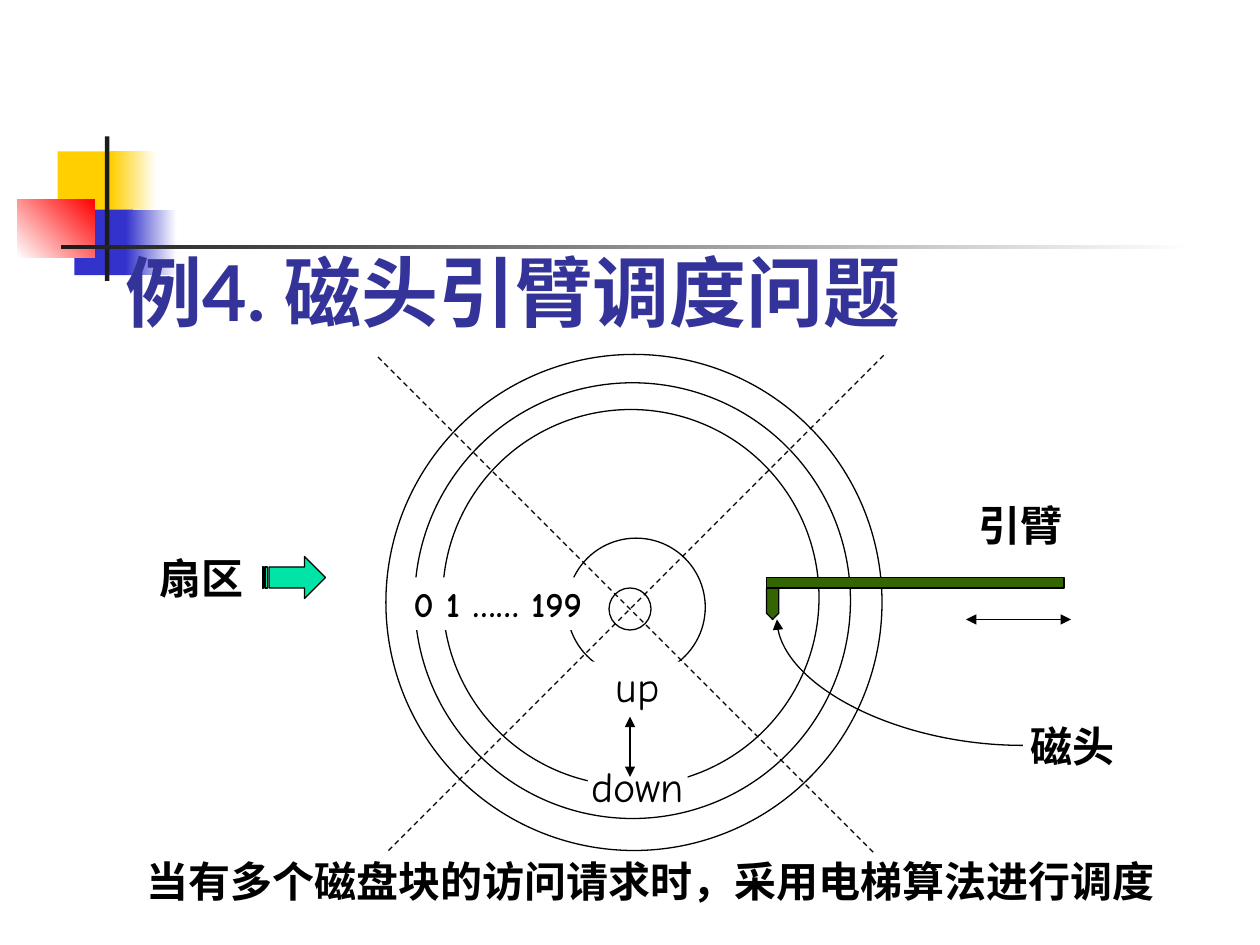
from lxml import etree
from pptx import Presentation
from pptx.dml.color import RGBColor
from pptx.enum.dml import MSO_LINE
from pptx.enum.shapes import MSO_CONNECTOR, MSO_SHAPE
from pptx.enum.text import MSO_ANCHOR, MSO_AUTO_SIZE, PP_ALIGN
from pptx.oxml.ns import qn
from pptx.util import Pt

RECTANGLE, OVAL = MSO_SHAPE.RECTANGLE, MSO_SHAPE.OVAL
HEAD_TIP, SECTOR_ARROW = MSO_SHAPE.FLOWCHART_OFFPAGE_CONNECTOR, MSO_SHAPE.STRIPED_RIGHT_ARROW
STRAIGHT, CURVE = MSO_CONNECTOR.STRAIGHT, MSO_CONNECTOR.CURVE
DASH = MSO_LINE.DASH
LEFT, CENTER = PP_ALIGN.LEFT, PP_ALIGN.CENTER
MIDDLE, BOTTOM = MSO_ANCHOR.MIDDLE, MSO_ANCHOR.BOTTOM
NO_AUTOFIT = MSO_AUTO_SIZE.NONE

BLACK, WHITE = "000000", "FFFFFF"
YELLOW, BLUE, RED, CHARCOAL = "FFCF01", "3333CC", "FF0000", "1C1C1C"
ARM_GREEN, SECTOR_GREEN, TITLE_BLUE = "336600", "00E4A8", "333399"
BODY_FONT, TITLE_FONT = "Comic Neue", "Lato"

DECORATION = [
    ((33, 86.5, 34.5, 37.5), (YELLOW,), 0),
    ((63.5, 86.5, 26, 37.5), (YELLOW, WHITE), 0),
    ((42.5, 119.75, 33.5, 37.5), (BLUE,), 0),
    ((72, 119.75, 29, 37.5), (BLUE, WHITE), 0),
    ((9.75, 113.75, 44.25, 33.25), (WHITE, RED), 45),
    ((60, 78, 2.5, 82.5), (CHARCOAL,), 0),
    ((34.75, 140, 648, 2.5), (CHARCOAL, WHITE), 0),
]
DISK_CIRCLES = [
    (220.5, 202.5, 283.5),
    (237, 218.75, 249),
    (253, 234, 215),
    (324, 307.5, 79),
    (348, 336, 24),
]
LABELS = [
    ("磁头", (582, 408, 66, 36)),
    ("引臂", (552, 282, 72, 36)),
    ("扇区", (84, 312, 66, 36)),
    ("当有多个磁盘块的访问请求时，采用电梯算法进行调度", (76.5, 485.5, 623.5, 36)),
]


def color(value):
    """Turn a hex string into a colour."""
    return RGBColor.from_string(value)


def add_block(shapes, kind, bounds, fill, outlined=True):
    """Add a filled preset shape with a thin black outline or none."""
    block = shapes.add_shape(kind, *map(Pt, bounds))
    block.shadow.inherit = False
    block.fill.solid()
    block.fill.fore_color.rgb = color(fill)
    if outlined:
        block.line.color.rgb = color(BLACK)
        block.line.width = Pt(0.75)
    else:
        block.line.fill.background()
    return block


def add_decoration(shapes, bounds, colors, angle):
    """Add a decorative bar, plain or fading between two colours."""
    bar = add_block(shapes, RECTANGLE, bounds, colors[0], outlined=False)
    if len(colors) > 1:
        bar.fill.gradient()
        bar.fill.gradient_angle = angle
        for stop, value in zip(bar.fill.gradient_stops, colors):
            stop.color.rgb = color(value)


def style(para, size, align=LEFT, font=BODY_FONT, ink=BLACK, bold=True):
    """Set the alignment and font of a paragraph."""
    para.alignment = align
    para.font.name = font
    para.font.size = Pt(size)
    para.font.bold = bold
    para.font.color.rgb = color(ink)


def set_title(page, text):
    """Place the title in front of the decoration."""
    title = page.shapes.title
    title.left, title.top, title.width, title.height = map(Pt, (64.75, 106, 613.5, 90))
    frame = title.text_frame
    frame.text = text
    frame.vertical_anchor = BOTTOM
    frame.auto_size = NO_AUTOFIT
    style(frame.paragraphs[0], 44, font=TITLE_FONT, ink=TITLE_BLUE)
    title.element.getparent().append(title.element)


def add_label(shapes, text, bounds):
    """Add a bold text label."""
    box = shapes.add_textbox(*map(Pt, bounds))
    box.text_frame.word_wrap = True
    box.text_frame.text = text
    style(box.text_frame.paragraphs[0], 24)


def add_plate(shapes, lines, bounds, size, bold, gap=0):
    """Add centred lines on a white plate that hides the circles."""
    plate = add_block(shapes, RECTANGLE, bounds, WHITE, outlined=False)
    frame = plate.text_frame
    frame.word_wrap = False
    frame.vertical_anchor = MIDDLE
    frame.text = "\n".join(lines)
    for index, para in enumerate(frame.paragraphs):
        style(para, size, CENTER, bold=bold)
        para.space_before = Pt(gap if index else 0)


def add_line(shapes, start, end, kind=STRAIGHT, dash=None, arrows=()):
    """Add a thin black connector with optional dashes and arrowheads."""
    line = shapes.add_connector(kind, *map(Pt, start + end))
    line.line.color.rgb = color(BLACK)
    line.line.width = Pt(0.75)
    if dash:
        line.line.dash_style = dash
    properties = line.element.spPr
    for arrow in arrows:
        etree.SubElement(properties.find(qn("a:ln")), qn(f"a:{arrow}"), type="triangle")
    etree.SubElement(properties, qn("a:effectLst"))
    return line


def add_disk(shapes):
    """Draw the tracks, the sector borders and the texts on the disk."""
    for left, top, diameter in DISK_CIRCLES:
        add_block(shapes, OVAL, (left, top, diameter, diameter), WHITE)
    add_plate(shapes, ["0 1 …… 199"], (228, 330, 113, 30), 20, bold=True)
    add_plate(shapes, ["up", "down"], (336, 378, 57, 85), 24, bold=False, gap=28.5)
    add_line(shapes, (360, 409.5), (360, 444), arrows=("headEnd", "tailEnd"))
    add_line(shapes, (216, 204), (499.5, 487.5), dash=DASH)
    add_line(shapes, (222, 486), (505.5, 202.5), dash=DASH)


def add_arm(shapes):
    """Draw the arm with its head, its movement and its pointer."""
    arm = shapes.add_group_shape().shapes
    add_block(arm, HEAD_TIP, (438, 336, 7, 18), ARM_GREEN)
    add_block(arm, RECTANGLE, (438, 330, 170, 6), ARM_GREEN)
    add_line(shapes, (552, 354), (612, 354), arrows=("headEnd", "tailEnd"))
    pointer = add_line(shapes, (584.5, 426), (444, 354), CURVE, arrows=("tailEnd",))
    pointer.element.spPr.find(qn("a:prstGeom")).set("prst", "curvedConnector2")


def main():
    """Build the slide on disk arm scheduling."""
    deck = Presentation()
    deck.slide_width, deck.slide_height = Pt(720), Pt(540)
    page = deck.slides.add_slide(deck.slide_layouts[5])
    shapes = page.shapes
    for bounds, colors, angle in DECORATION:
        add_decoration(shapes, bounds, colors, angle)
    set_title(page, "例4. 磁头引臂调度问题")
    add_disk(shapes)
    add_arm(shapes)
    add_block(shapes, SECTOR_ARROW, (150, 318, 36, 24), SECTOR_GREEN)
    for text, bounds in LABELS:
        add_label(shapes, text, bounds)
    deck.save("out.pptx")


if __name__ == "__main__":
    main()
